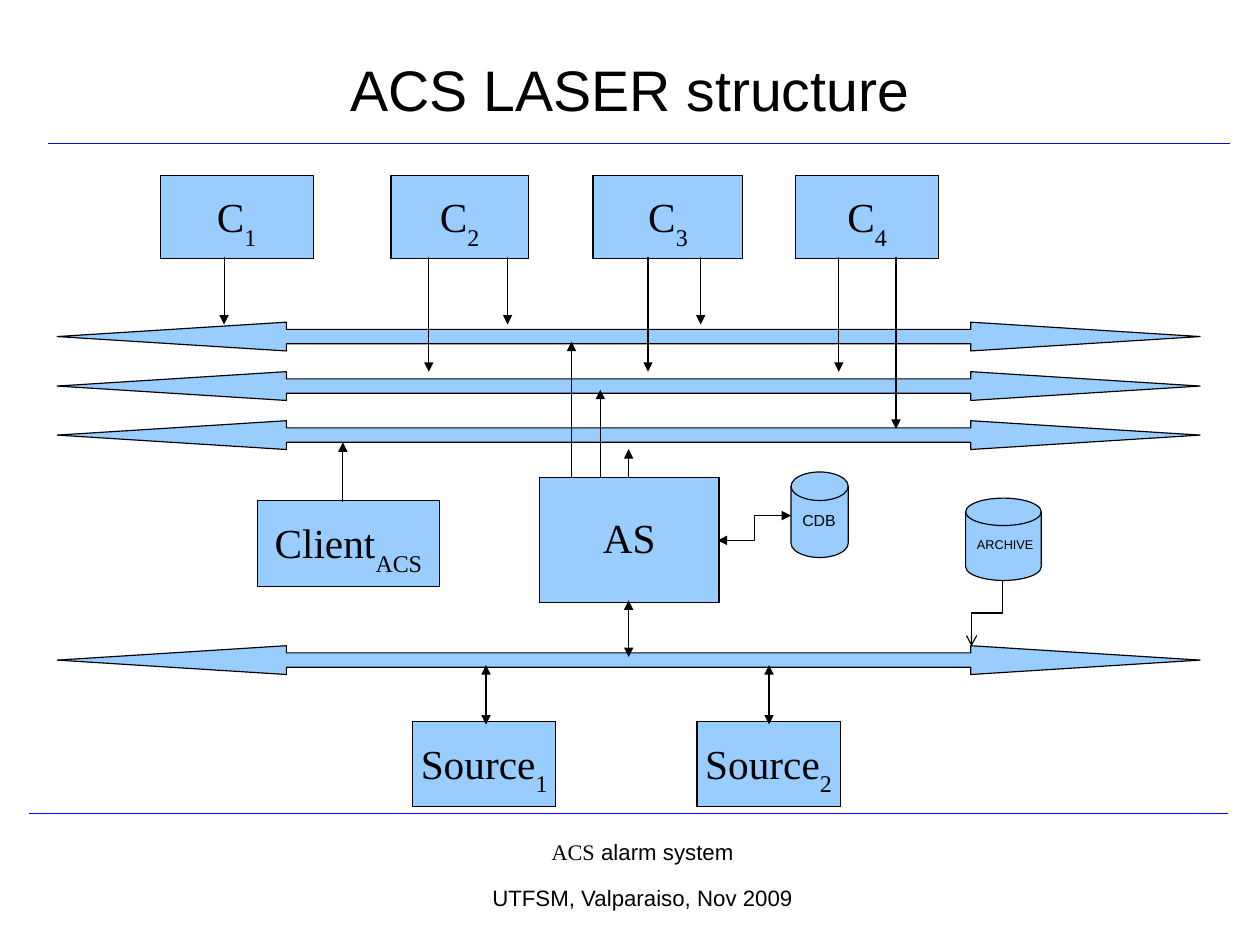
"""Build the slide on the structure of the alarm system."""
from lxml import etree
from pptx import Presentation
from pptx import util as u
from pptx.dml.color import RGBColor
from pptx.enum import shapes, text
from pptx.oxml.ns import qn

BLACK = RGBColor(0x00, 0x00, 0x00)
BLUE = RGBColor(0x00, 0x00, 0xFF)
SKY = RGBColor(0x99, 0xCC, 0xFF)
SANS = "Arial"
SERIF = "Times New Roman"
THIN = u.Pt(0.74)
KIND = shapes.MSO_SHAPE
JOIN = shapes.MSO_CONNECTOR

CLIENTS = [(3.56, 3.4), (8.69, 3.05), (13.18, 3.33), (17.68, 3.18)]
SOURCES = [9.17, 15.49]
BUSES = [7.16, 8.26, 9.35, 14.35]
DROPS = [(4.98, 7.21), (9.53, 8.26), (11.28, 7.21), (14.4, 8.26),
         (15.57, 7.21), (18.64, 8.26), (19.91, 9.53)]
RISES = [(12.7, 7.59), (13.34, 8.66), (13.97, 9.98)]


def place(*sizes):
    """Turn centimetres into slide lengths."""
    return [u.Cm(size) for size in sizes]


def style(run, font, size):
    """Give a run its font, size and black colour."""
    run.font.name = font
    run.font.size = u.Pt(size)
    run.font.color.rgb = BLACK


def align(para, side=text.PP_ALIGN.CENTER, lead=0.87):
    """Set the alignment and line spacing of a paragraph."""
    para.alignment = side
    para.line_spacing = lead


def block(slide, spot, words, size):
    """Add a box of centred text without margins."""
    frame = slide.shapes.add_textbox(*place(*spot)).text_frame
    frame.margin_left = frame.margin_right = 0
    frame.margin_top = frame.margin_bottom = 0
    frame.word_wrap = True
    frame.text = words
    for para in frame.paragraphs:
        align(para)
        for run in para.runs:
            style(run, SANS, size)
    return frame


def solid(slide, kind, spot):
    """Add a sky blue shape with a thin black outline."""
    shape = slide.shapes.add_shape(kind, *place(*spot))
    shape.shadow.inherit = False
    shape.fill.solid()
    shape.fill.fore_color.rgb = SKY
    shape.line.color.rgb = BLACK
    shape.line.width = THIN
    return shape


def label(shape, words, font, size):
    """Write one line in the middle of a shape and return its paragraph."""
    frame = shape.text_frame
    frame.word_wrap = False
    frame.vertical_anchor = text.MSO_ANCHOR.MIDDLE
    frame.text = words
    para = frame.paragraphs[0]
    style(para.runs[0], font, size)
    return para


def box(slide, spot, name, sub=""):
    """Add a process box with a name and an optional subscript."""
    para = label(solid(slide, KIND.FLOWCHART_PROCESS, spot), name, SERIF, 26)
    align(para)
    if sub:
        run = para.add_run()
        run.text = sub
        style(run, SERIF, 26)
        run.font._element.set("baseline", "-33000")


def disk(slide, spot, name, size):
    """Add a data store with its name."""
    para = label(solid(slide, KIND.FLOWCHART_MAGNETIC_DISK, spot),
                 name, SANS, size)
    align(para, text.PP_ALIGN.LEFT, 0.81)


def bus(slide, top):
    """Add a wide double arrow with long heads."""
    shape = solid(slide, KIND.LEFT_RIGHT_ARROW, (1.27, top, 25.4, 0.64))
    shape.adjustments[0] = 0.5
    shape.adjustments[1] = 7.96


def link(slide, ends, head="", tail="", kind=JOIN.STRAIGHT, color=BLACK):
    """Add a thin connector with optional arrowheads."""
    line = slide.shapes.add_connector(kind, *place(*ends))
    line.line.color.rgb = color
    line.line.width = THIN
    pen = line.line._get_or_add_ln()
    for tag, tip in (("a:headEnd", head), ("a:tailEnd", tail)):
        if tip:
            etree.SubElement(pen, qn(tag), type=tip)
    etree.SubElement(line._element.spPr, qn("a:effectLst"))
    return line


def frame_page(slide):
    """Add the title, the footer and their rules."""
    link(slide, (0.64, 18.08, 27.3, 18.08), color=BLUE)
    foot = block(slide, (4.45, 18.72, 19.66, 2.03),
                 "ACS\nUTFSM, Valparaiso, Nov 2009", 14)
    first, last = foot.paragraphs
    first.runs[0].font.name = SERIF
    rest = first.add_run()
    rest.text = " alarm system"
    style(rest, SANS, 14)
    last.space_before = u.Pt(14)
    title = block(slide, (1.4, 0.33, 25.2, 3.5), "ACS LASER structure", 36)
    title.vertical_anchor = text.MSO_ANCHOR.MIDDLE
    link(slide, (1.07, 3.18, 27.33, 3.18), color=BLUE)


def draw_nodes(slide):
    """Add the boxes, buses and data stores."""
    for num, (left, width) in enumerate(CLIENTS, 1):
        box(slide, (left, 3.91, width, 1.83), "C", str(num))
    for top in BUSES:
        bus(slide, top)
    for num, left in enumerate(SOURCES, 1):
        box(slide, (left, 16.03, 3.18, 1.9), "Source", str(num))
    box(slide, (11.99, 10.62, 3.99, 2.77), "AS")
    box(slide, (5.72, 11.13, 4.04, 1.9), "Client", "ACS")
    disk(slide, (17.58, 10.49, 1.27, 1.9), "CDB", 10)
    disk(slide, (21.46, 11.07, 1.68, 1.83), "ARCHIVE", 8)


def draw_links(slide):
    """Add the arrows between the nodes."""
    tip = "triangle"
    for x, end in DROPS:
        link(slide, (x, 5.72, x, end), tail=tip)
    for x, end in RISES:
        link(slide, (x, 10.62, x, end), tail=tip)
    link(slide, (7.62, 11.15, 7.62, 9.83), tail=tip)
    link(slide, (13.97, 13.34, 13.97, 14.6), tip, tip)
    for x in (10.8, 17.09):
        link(slide, (x, 16.1, x, 14.78), tip, tip)
    link(slide, (15.95, 12.01, 17.58, 11.46), tip, tip, JOIN.ELBOW)
    turn = link(slide, (21.2, 13.28, 22.67, 13.97), tail="arrow",
                kind=JOIN.ELBOW)
    turn._element.spPr.xfrm.set("rot", "5400000")


def main():
    """Build and save the deck."""
    deck = Presentation()
    deck.slide_width, deck.slide_height = place(28, 21)
    slide = deck.slides.add_slide(deck.slide_layouts[6])
    frame_page(slide)
    draw_nodes(slide)
    draw_links(slide)
    deck.save("out.pptx")


main()
